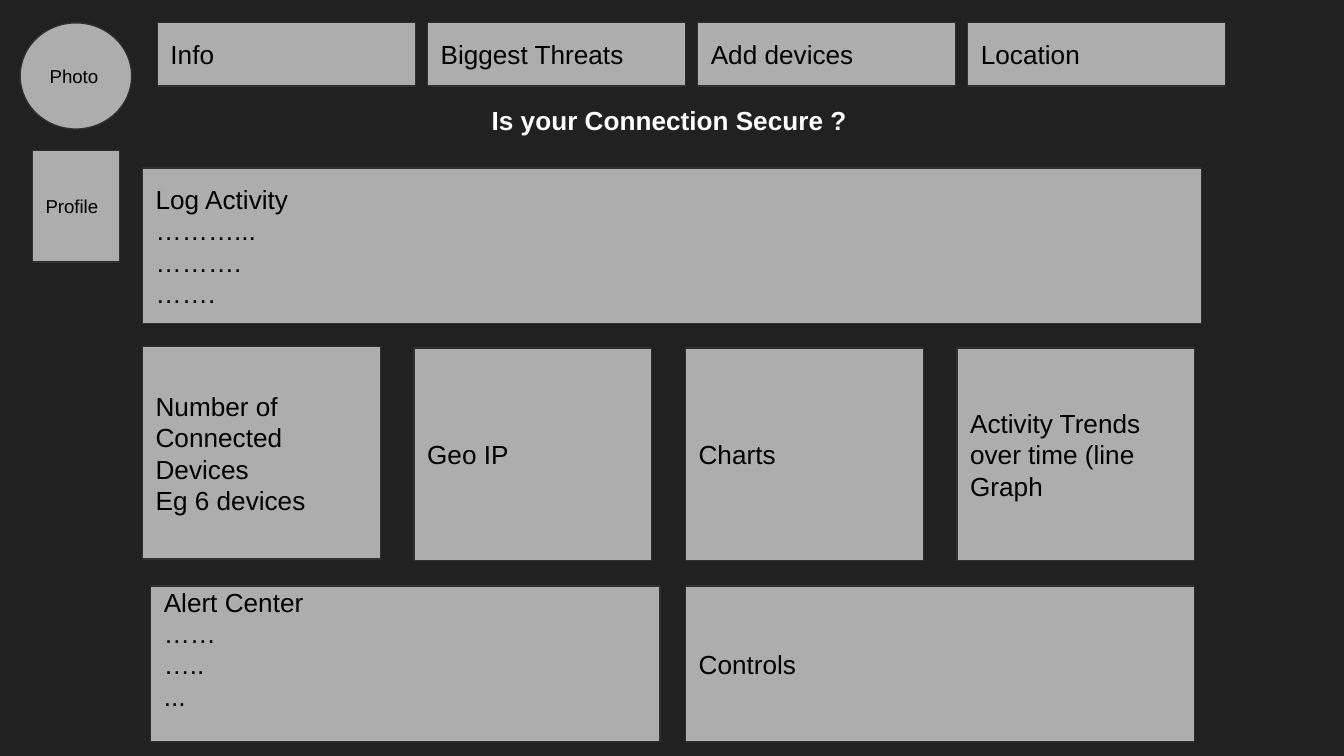
from pptx import Presentation
from pptx.dml.color import RGBColor as RGB
from pptx.enum.shapes import MSO_SHAPE as SHAPE
from pptx.enum.text import MSO_ANCHOR as ANCHOR, PP_ALIGN as ALIGN
from pptx.util import Inches, Pt

# Content
TITLE = "Is your Connection Secure ?"
MENU = ["Info", "Biggest Threats", "Add devices", "Location"]
LOG = "Log Activity\n………...\n……….\n……."
CARDS = [
    "Number of Connected Devices\nEg 6 devices",
    "Geo IP",
    "Charts",
    "Activity Trends over time (line Graph",
]
ALERTS = "Alert Center\n……\n…..\n..."
CONTROLS = "Controls"

COLORS = {"bg": "212121", "panel": "ADADAD", "line": "303030",
          "text": "000000", "title": "FFFFFF"}
FONT = "Arial"

# Grid, in inches
SLIDE_W = 10
SLIDE_H = SLIDE_W * 9 / 16
MARGIN_TOP = 0.17
MENU_LEFT, MENU_STEP, MENU_W, MENU_H = 1.17, 2.01, 1.92, 0.47
CARD_LEFT, CARD_STEP, CARD_W, CARD_H = 1.06, 2.02, 1.77, 1.58
CARD_TOPS = [2.58, 2.59, 2.59, 2.59]
WIDE_W, WIDE_H, WIDE_TOP = 3.79, 1.16, 4.36

prs = Presentation()
prs.slide_width, prs.slide_height = Inches(SLIDE_W), Inches(SLIDE_H)
s = prs.slides.add_slide(prs.slide_layouts[6])
s.background.fill.solid()
s.background.fill.fore_color.rgb = RGB.from_string(COLORS["bg"])


def write(sp, text, size=14, color="text", bold=False, anchor=ANCHOR.MIDDLE):
    tf = sp.text_frame
    tf.text = text
    tf.word_wrap = True
    tf.vertical_anchor = anchor
    tf.margin_left = tf.margin_right = Inches(0.1)
    tf.margin_top = tf.margin_bottom = Inches(0.1)
    for p in tf.paragraphs:
        p.alignment = ALIGN.LEFT
        for r in p.runs:
            r.font.name, r.font.size, r.font.bold = FONT, Pt(size), bold
            r.font.color.rgb = RGB.from_string(COLORS[color])
    return tf


def panel(text, x, y, w, h, shape=SHAPE.RECTANGLE, **style):
    sp = s.shapes.add_shape(shape, Inches(x), Inches(y), Inches(w), Inches(h))
    sp.shadow.inherit = False
    sp.fill.solid()
    sp.fill.fore_color.rgb = RGB.from_string(COLORS["panel"])
    sp.line.color.rgb = RGB.from_string(COLORS["line"])
    sp.line.width = Pt(0.75)
    return write(sp, text, **style)


# Activity log
panel(LOG, CARD_LEFT, 1.25, 7.88, WIDE_H)

# Row of cards
for i, (text, top) in enumerate(zip(CARDS, CARD_TOPS)):
    panel(text, CARD_LEFT + i * CARD_STEP, top, CARD_W, CARD_H)

# Alert list, starting at the top edge of its panel
tf = panel(ALERTS, 1.12, WIDE_TOP, WIDE_W, WIDE_H, anchor=ANCHOR.TOP)
tf.margin_top = 0

# Title, with insets that fit its low box
box = s.shapes.add_textbox(Inches(3.56), Inches(0.73), Inches(5.61), Inches(0.1))
tf = write(box, TITLE, color="title", bold=True, anchor=ANCHOR.TOP)
tf.margin_top, tf.margin_bottom = Inches(0.05), 0

# Controls
panel(CONTROLS, CARD_LEFT + 2 * CARD_STEP, WIDE_TOP, WIDE_W, WIDE_H)

# Top menu
for i, text in enumerate(MENU):
    panel(text, MENU_LEFT + i * MENU_STEP, MARGIN_TOP, MENU_W, MENU_H)

# User column
panel("Photo", 0.15, MARGIN_TOP, 0.83, 0.79, SHAPE.OVAL, size=10)
panel("Profile", 0.24, 1.12, 0.65, 0.83, size=10)

prs.save("out.pptx")
